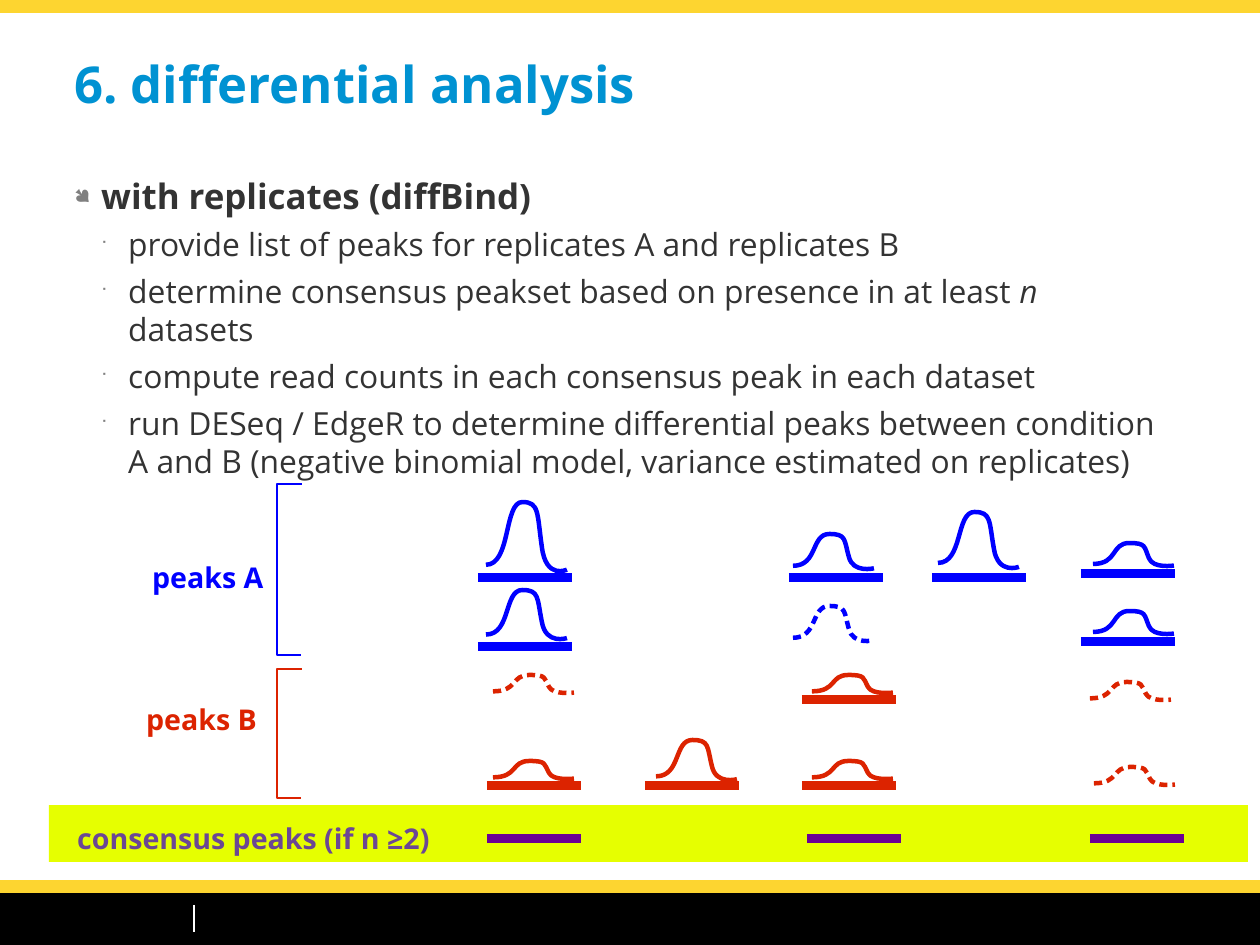
from collections import namedtuple

from lxml.etree import SubElement
from pptx import Presentation
from pptx.dml.color import RGBColor
from pptx.enum.shapes import MSO_CONNECTOR, MSO_SHAPE
from pptx.oxml.ns import qn
from pptx.util import Pt

SCALE = 8000
FONT = "Open Sans"
YELLOW, BLUE, RED, PURPLE = "FDD530", "0000FF", "DC2300", "6B0094"
BAR_WIDTH, PEAK_WIDTH = 94, 81
PEAK_PROFILE = [
    (0, 0.91),
    (0.31, 0.91), (0.22, 0), (0.45, 0),
    (0.66, 0), (0.63, 0.16), (0.69, 0.65),
    (0.74, 1.13), (1, 0.98), (1, 0.98),
]

Box = namedtuple("Box", "left top width height")
Peak = namedtuple("Peak", "left top height bar_left bar_top", defaults=(None, None))

PEAKS_A = [
    Peak(209, 18, 69, 201, 94), Peak(516, 50, 35, 512, 94),
    Peak(661, 28, 56, 655, 94), Peak(816, 59, 23, 804, 90),
    Peak(209, 106, 49, 201, 163), Peak(516, 122, 35),
    Peak(816, 127, 23, 804, 158),
]
PEAKS_B = [
    Peak(216, 6, 18), Peak(535, 6, 18, 525, 31), Peak(813, 13, 18),
    Peak(216, 92, 18, 210, 117), Peak(379, 71, 40, 368, 117),
    Peak(535, 92, 18, 525, 117), Peak(817, 98, 18),
]
STEPS = [
    ["provide list of peaks for replicates A and replicates B"],
    ["determine consensus peakset based on presence in at least ", "n", " datasets"],
    ["compute read counts in each consensus peak in each dataset"],
    ["run DESeq / EdgeR to determine differential peaks between condition A and B "
     "(negative binomial model, variance estimated on replicates)"],
]


def px(length):
    return round(length * SCALE)


def colour(value):
    return RGBColor.from_string(value)


def style_line(shape, value, width):
    shape.line.color.rgb = colour(value)
    shape.line.width = Pt(width)


def style_font(paragraph, size, value, bold):
    font = paragraph.font
    font.name, font.size, font.bold = FONT, Pt(size), bold
    font.color.rgb = colour(value)


def add_band(page, box, fill):
    band = page.shapes.add_shape(MSO_SHAPE.RECTANGLE, *map(px, box))
    band.shadow.inherit = False
    band.fill.solid()
    band.fill.fore_color.rgb = colour(fill)
    band.line.fill.background()


def add_line(page, start, end, value, width):
    line = page.shapes.add_connector(MSO_CONNECTOR.STRAIGHT, *map(px, start + end))
    style_line(line, value, width)
    SubElement(line._element.spPr, qn("a:effectLst"))


def add_bar(page, left, top, value):
    add_line(page, (left, top), (left + BAR_WIDTH, top), value, 5.67)


def add_outline(page, points, value, width):
    corners = [(px(x), px(y)) for x, y in points]
    builder = page.shapes.build_freeform(*corners[0])
    builder.add_line_segments(corners[1:], close=False)
    outline = builder.convert_to_shape()
    outline.shadow.inherit = False
    outline.fill.background()
    style_line(outline, value, width)
    return outline


def add_text(page, box, wrap):
    frame = page.shapes.add_textbox(*map(px, box)).text_frame
    frame.word_wrap = wrap
    return frame


def add_label(page, box, text, size, value):
    para = add_text(page, box, False).paragraphs[0]
    para.text = text
    style_font(para, size, value, True)


def add_bullet(paragraph, symbol, percent, indent):
    properties = paragraph._p.get_or_add_pPr()
    properties.set("marL", str(px(indent)))
    properties.set("indent", str(px(-27)))
    bullet_colour = SubElement(properties, qn("a:buClr"))
    SubElement(bullet_colour, qn("a:srgbClr"), val="808080")
    SubElement(properties, qn("a:buSzPct"), val=str(percent * 1000))
    SubElement(properties, qn("a:buFont"), typeface="Wingdings", charset="2")
    SubElement(properties, qn("a:buChar"), char=symbol)


def bend_segments(outline, height):
    route = next(outline._element.iter(qn("a:path")))
    segments = route.findall(qn("a:lnTo"))
    for first in range(0, len(segments), 3):
        curve = SubElement(route, qn("a:cubicBezTo"))
        for segment in segments[first:first + 3]:
            curve.append(segment[0])
            route.remove(segment)
    route.set("h", str(px(height)))
    outline.height = px(height)


def add_peak(page, left, top, height, value, dashed):
    points = [(left + x * PEAK_WIDTH, top + y * height) for x, y in PEAK_PROFILE]
    peak = add_outline(page, points, value, 2.83)
    bend_segments(peak, height)
    if dashed:
        dash = SubElement(peak.line._get_or_add_ln(), qn("a:custDash"))
        SubElement(dash, qn("a:ds"), d="180000", sp="110000")


def draw_frame(page, box):
    footer_top = box.height - 52
    add_band(page, Box(0, footer_top, box.width, 52), "000000")
    for top in (0, footer_top - 13):
        add_band(page, Box(0, top, box.width, 13), YELLOW)
    add_line(page, (194, footer_top + 12), (194, footer_top + 39), "FFFFFF", 1.42)


def draw_method(page, box):
    frame = add_text(page, box, True)
    heading = frame.paragraphs[0]
    heading.text = "with replicates (diffBind)"
    add_bullet(heading, "●", 60, 27)
    style_font(heading, 22, "333333", True)
    for step in STEPS:
        para = frame.add_paragraph()
        para.level = 1
        para.space_before = Pt(5.5)
        add_bullet(para, "■", 45, 54)
        style_font(para, 20, "333333", False)
        for text in step:
            span = para.add_run()
            span.text = text
            if text == "n":
                span.font.italic = True


def draw_condition(page, box, name, label_left, label_top, value, peaks):
    left, top, bottom = box.left, box.top, box.top + box.height
    bracket = [(left + 25, top), (left, top), (left, bottom), (left + 24, bottom)]
    add_outline(page, bracket, value, 1.42)
    add_label(page, Box(left + label_left, top + label_top, 134, 50), name, 18, value)
    for peak in peaks:
        has_bar = peak.bar_left is not None
        if has_bar:
            add_bar(page, left + peak.bar_left, top + peak.bar_top, value)
        add_peak(page, left + peak.left, top + peak.top, peak.height, value, not has_bar)


def draw_consensus(page, box):
    add_band(page, box, "E6FF00")
    add_label(page, Box(box.left + 17, box.top + 10, 376, 50),
              "consensus peaks (if n ≥2)", 18, "6B4794")
    for left in (438, 758, 1041):
        add_bar(page, box.left + left, box.top + 34, PURPLE)


def main():
    deck = Presentation()
    deck.slide_width, deck.slide_height = px(1260), px(945)
    page = deck.slides.add_slide(deck.slide_layouts[6])
    draw_frame(page, Box(0, 0, 1260, 945))
    add_label(page, Box(63, 47, 1134, 81), "6. differential analysis", 32, "0092D2")
    draw_method(page, Box(63, 169, 1109, 448))
    draw_condition(page, Box(277, 484, 900, 171), "peaks A", -136, 70, BLUE, PEAKS_A)
    draw_condition(page, Box(277, 669, 900, 129), "peaks B", -142, 27, RED, PEAKS_B)
    draw_consensus(page, Box(49, 805, 1199, 57))
    deck.save("out.pptx")


if __name__ == "__main__":
    main()
